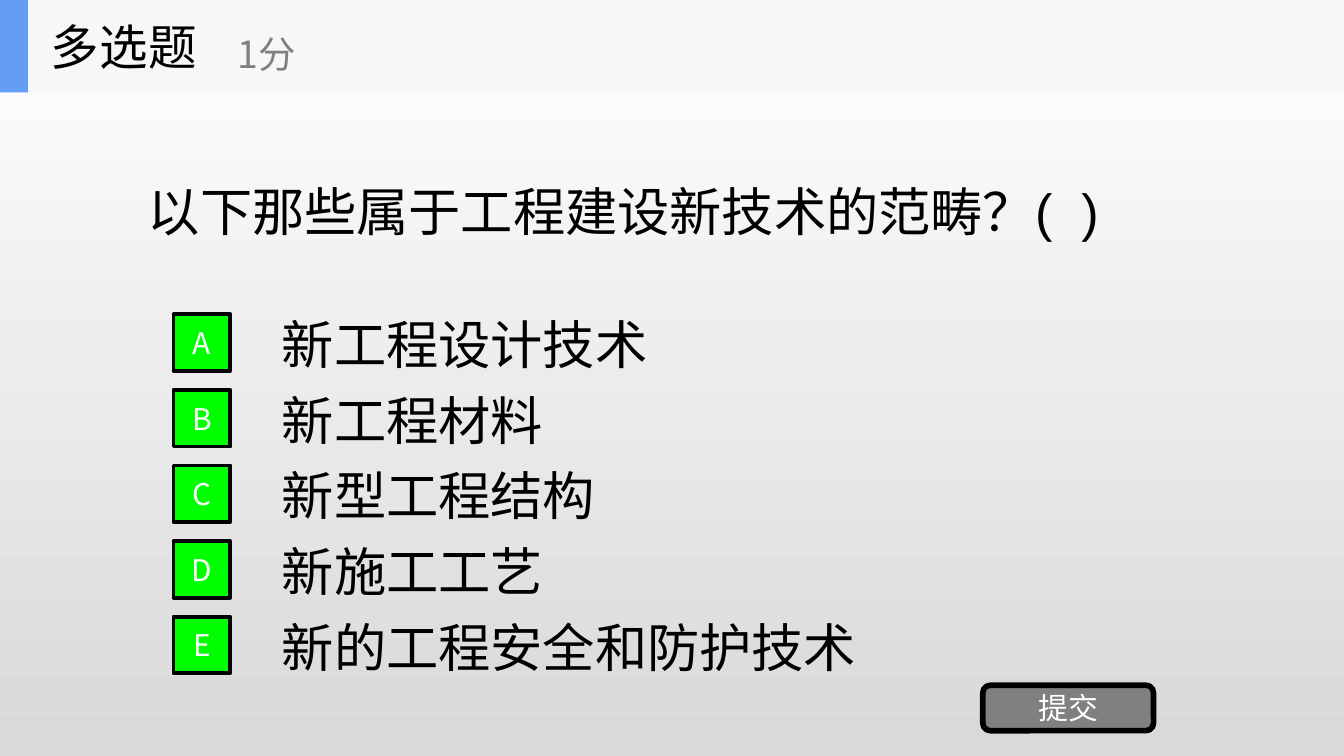
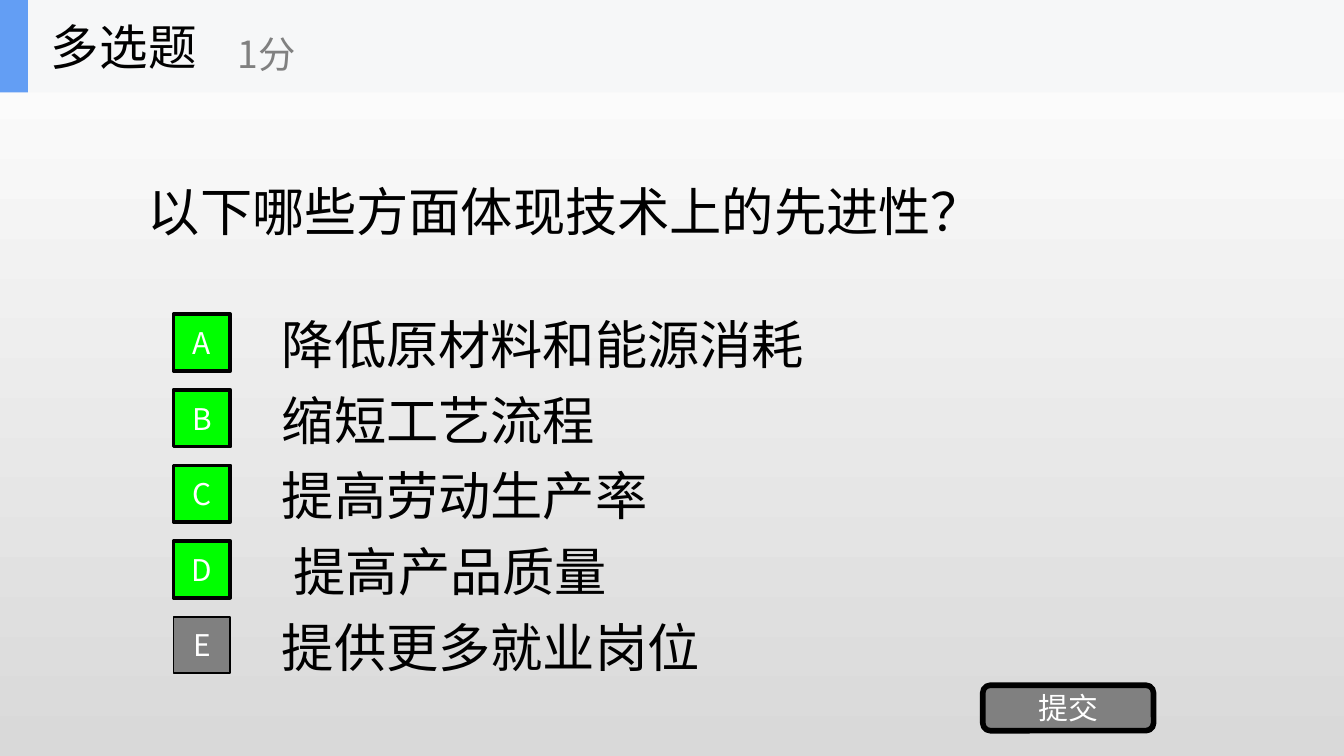
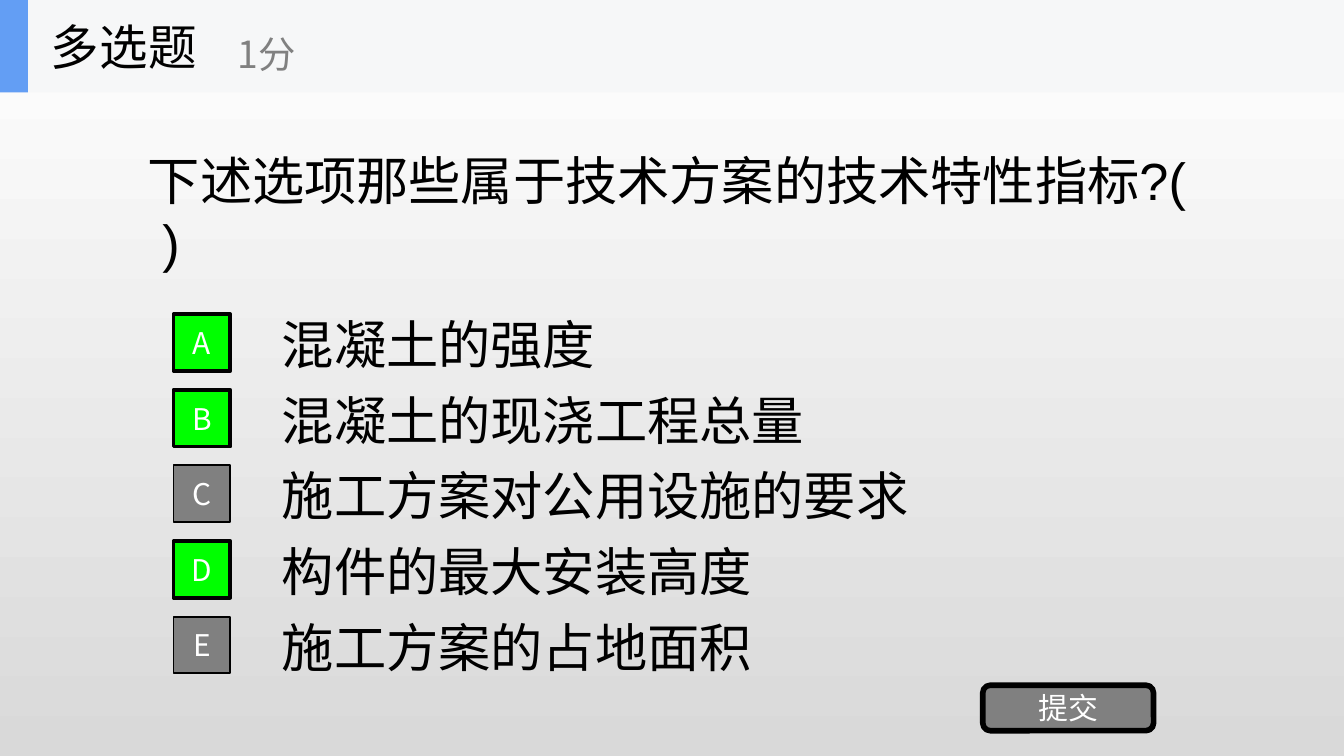
from lxml.etree import SubElement
from pptx import Presentation
from pptx.dml.color import RGBColor
from pptx.enum.lang import MSO_LANGUAGE_ID
from pptx.enum.shapes import MSO_SHAPE
from pptx.enum.text import MSO_ANCHOR, MSO_AUTO_SIZE, PP_ALIGN
from pptx.oxml.ns import qn
from pptx.util import Emu, Pt

WHITE = RGBColor(255, 255, 255)
BLACK = RGBColor(0, 0, 0)
SILVER = RGBColor(0xD9, 0xD9, 0xD9)
GRAY = RGBColor(0x80, 0x80, 0x80)
GREEN = RGBColor(0, 0xFF, 0)
BLUE = RGBColor(0x63, 0x9E, 0xF4)
PALE = RGBColor(0xF6, 0xF7, 0xF8)

HAN = "Noto Sans CJK SC"
BODY = {"size": Pt(28), "name": "Arial"}
LABEL = {"size": Pt(16), "name": HAN}
HEAD = {"size": Pt(26), "name": HAN}
NOTE = {"size": Pt(20), "name": HAN}

WIDE, HIGH = 1920, 1080
BAND = 132
TOP, STEP = 440, 108

TASKS = [
    ("以下那些属于工程建设新技术的范畴？(  )", "ABCDE",
     ["新工程设计技术", "新工程材料", "新型工程结构", "新施工工艺", "新的工程安全和防护技术"]),
    ("以下哪些方面体现技术上的先进性？", "ABCD",
     ["降低原材料和能源消耗", "缩短工艺流程", "提高劳动生产率", " 提高产品质量", "提供更多就业岗位"]),
    ("下述选项那些属于技术方案的技术特性指标?(  )", "ABD",
     ["混凝土的强度", "混凝土的现浇工程总量", "施工方案对公用设施的要求",
      "构件的最大安装高度", "施工方案的占地面积"]),
]


def px(*sizes):
    return [Emu(round(size * 914400 / 192)) for size in sizes]


class Quiz:
    def __init__(self):
        self.deck = Presentation()
        self.deck.slide_width, self.deck.slide_height = px(WIDE, HIGH)
        fill = self.deck.slide_master.background.fill
        fill.gradient()
        fill.gradient_angle = 270
        for stop, color, place in zip(fill.gradient_stops, (WHITE, SILVER), (0, 1)):
            stop.color.rgb = color
            stop.position = place

    def start(self):
        self.slide = self.deck.slides.add_slide(self.deck.slide_layouts[5])
        self.shapes = self.slide.shapes

    def label(self, shape, text, style, color=BLACK, align=PP_ALIGN.LEFT, wrap=True):
        frame = shape.text_frame
        format = {"auto_size": MSO_AUTO_SIZE.NONE, "word_wrap": wrap,
                  "vertical_anchor": MSO_ANCHOR.MIDDLE}
        for key, value in format.items():
            setattr(frame, key, value)
        line = frame.paragraphs[0]
        line.alignment = align
        run = line.add_run()
        run.text = text
        for key, value in style.items():
            setattr(run.font, key, value)
        run.font.language_id = MSO_LANGUAGE_ID.SIMPLIFIED_CHINESE
        run.font.color.rgb = color
        SubElement(run.font._element, qn("a:ea"), typeface=HAN)

    def title(self, box, text):
        shape = self.shapes.title
        for key, value in zip(("left", "top", "width", "height"), px(*box)):
            setattr(shape, key, value)
        self.label(shape, text, BODY)

    def text(self, box, text, style, **look):
        self.label(self.shapes.add_textbox(*px(*box)), text, style, **look)

    def block(self, box, color, kind=MSO_SHAPE.RECTANGLE, edge=0):
        shape = self.shapes.add_shape(kind, *px(*box))
        shape.shadow.inherit = False
        shape.fill.solid()
        shape.fill.fore_color.rgb = color
        if edge:
            shape.line.color.rgb = BLACK
            shape.line.width = Pt(edge)
        else:
            shape.line.fill.background()
        return shape

    def button(self, box, text, color, **look):
        shape = self.block(box, color, **look)
        self.label(shape, text, LABEL, WHITE, PP_ALIGN.CENTER)

    def choice(self, row, text, right):
        top = TOP + row * STEP
        self.text((384, top, 1344, 102), text, BODY)
        color, edge = (GREEN, 2) if right else (GRAY, 1)
        self.button((248, top + 9, 81, 81), "ABCDE"[row], color, edge=edge)

    def header(self):
        self.shapes = self.slide.shapes.add_group_shape().shapes
        self.block((0, 0, WIDE, BAND), PALE)
        self.block((0, 0, 40, BAND), BLUE)
        self.text((54, 0, 400, BAND), "多选题", HEAD, wrap=False)
        self.text((321, 23, 480, 108), "1分", NOTE, color=GRAY, wrap=False)

    def task(self, query, key, items):
        self.start()
        self.title((192, BAND, 1536, 338), query)
        for row, item in enumerate(items):
            self.choice(row, item, "ABCDE"[row] in key)
        self.button((1404, 979, 244, 65), "提交", GRAY,
                    kind=MSO_SHAPE.ROUNDED_RECTANGLE, edge=3)
        self.header()


def main():
    quiz = Quiz()
    for task in TASKS:
        quiz.task(*task)
    quiz.deck.save("out.pptx")


if __name__ == "__main__":
    main()
